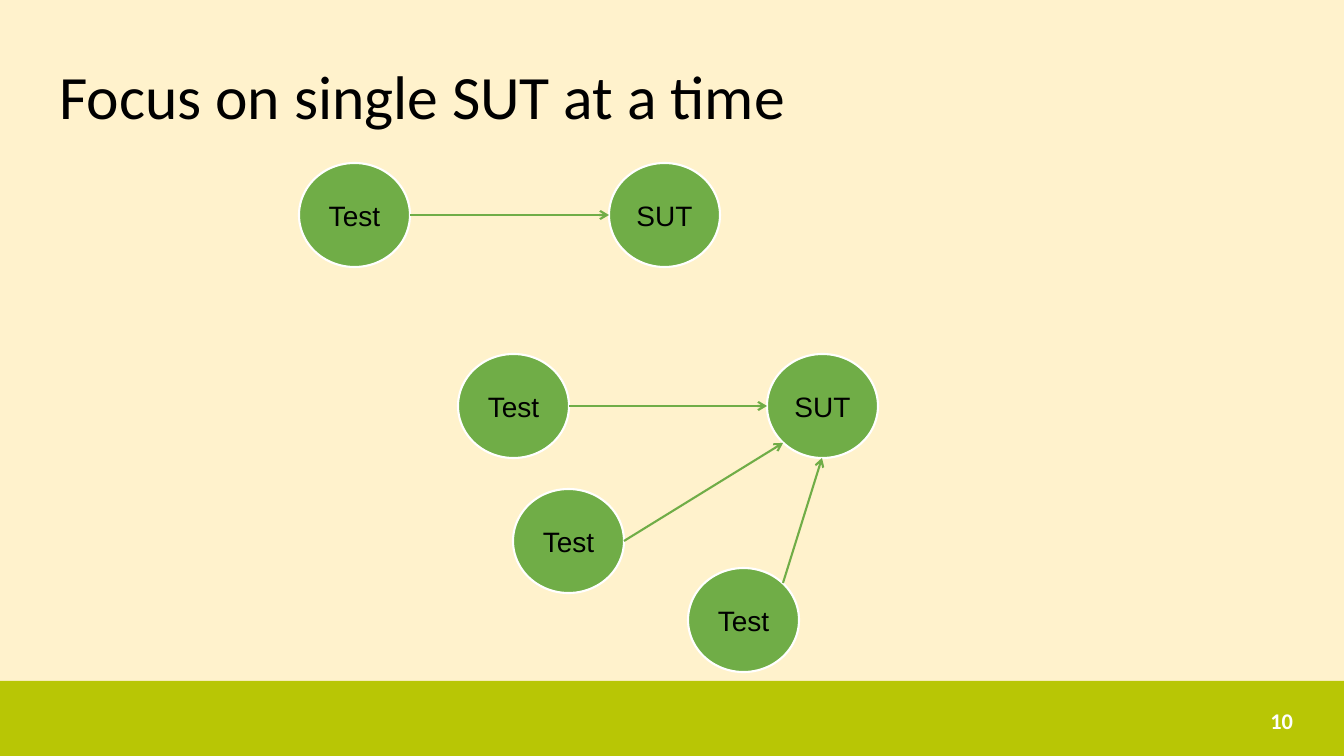
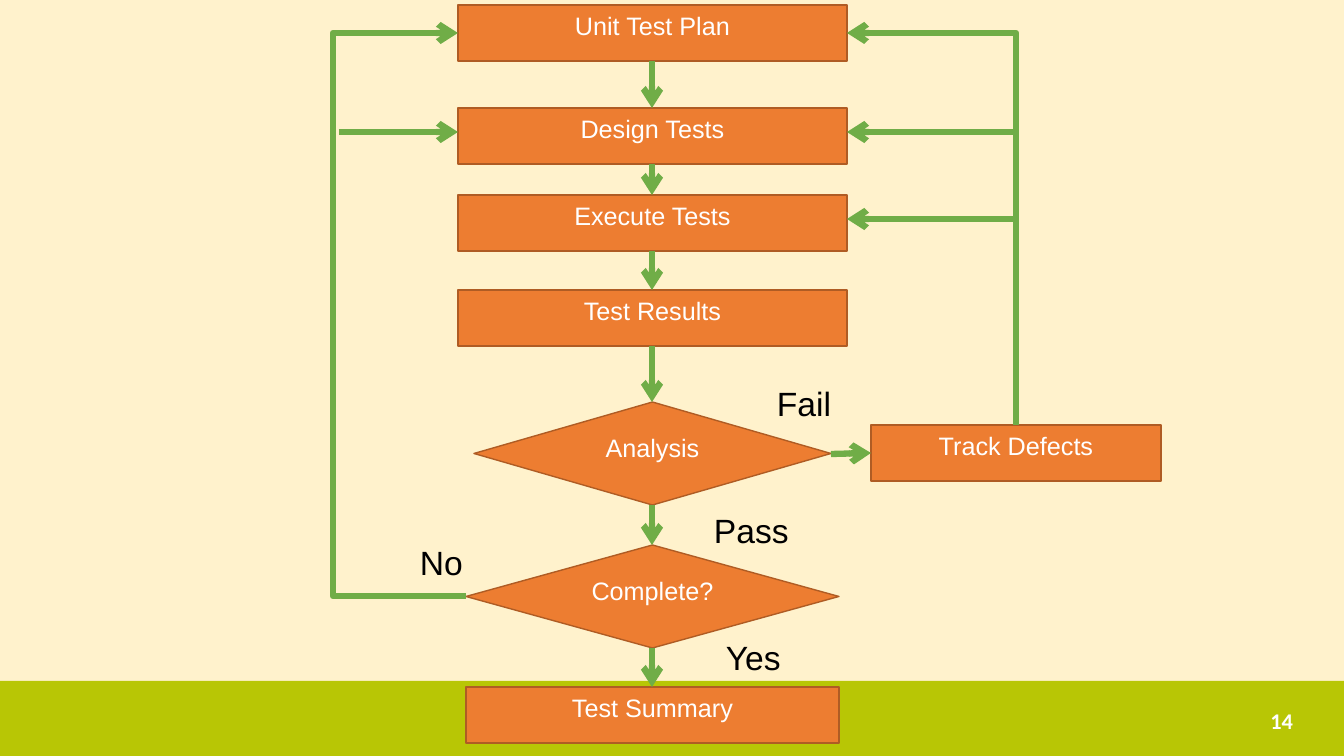
import dataclasses
import itertools
from typing import Optional

import lxml.etree
import pptx
import pptx.dml.color
import pptx.enum.shapes
import pptx.enum.text
import pptx.oxml.ns
import pptx.util

SLIDE_W, SLIDE_H = 1344, 756
EMU_PER_INCH, PX_PER_INCH = 914400, 100.8
COLORS = {
    "cream": "FFF2CC", "lime": "B8C605", "green": "70AD47",
    "orange": "ED7D31", "rust": "AF5C24", "white": "FFFFFF", "black": "000000",
}
SHAPES = pptx.enum.shapes.MSO_SHAPE
CONNECTORS = pptx.enum.shapes.MSO_CONNECTOR
ANCHORS = pptx.enum.text.MSO_ANCHOR
ALIGNS = pptx.enum.text.PP_ALIGN
DIAGONAL = 0.5 ** 0.5


@dataclasses.dataclass(frozen=True)
class Style:
    size: int
    color: str
    font: str = "Arial"
    align: int = ALIGNS.CENTER
    anchor: int = ANCHORS.TOP
    bold: bool = False


@dataclasses.dataclass(frozen=True)
class Look:
    fill: str
    line: str
    width: float
    text: Style


@dataclasses.dataclass(frozen=True)
class Node:
    text: str
    x: int
    y: int
    w: int
    h: int
    kind: int

    def at(self, dx: float, dy: float) -> tuple[int, int]:
        return (round(self.x + self.w * (1 + dx) / 2),
                round(self.y + self.h * (1 + dy) / 2))


@dataclasses.dataclass(frozen=True)
class Label:
    text: str
    x: int
    y: int
    w: int


TITLE = Style(44, "black", "Calibri", ALIGNS.LEFT, ANCHORS.MIDDLE)
NUMBER = Style(16, "white", "Calibri", ALIGNS.RIGHT, ANCHORS.MIDDLE, True)
BRANCH = Style(24, "black", align=ALIGNS.LEFT)
BUBBLE = Look("green", "white", 1.5, Style(20, "black", anchor=ANCHORS.MIDDLE))
STEP = Look("orange", "rust", 1, Style(18, "white"))


def px(n: float) -> int:
    return pptx.util.Emu(round(n * EMU_PER_INCH / PX_PER_INCH))


def rgb(name: str) -> pptx.dml.color.RGBColor:
    return pptx.dml.color.RGBColor.from_string(COLORS[name])


def write(tf, text: str, style: Style, wrap: bool = True) -> None:
    tf.text = text
    tf.word_wrap = wrap
    tf.vertical_anchor = style.anchor
    p = tf.paragraphs[0]
    p.alignment = style.align
    p.font.name = style.font
    p.font.size = pptx.util.Pt(style.size)
    p.font.bold = style.bold
    p.font.color.rgb = rgb(style.color)


def add_text(shapes, label: Label, h: int, style: Style, wrap: bool) -> None:
    sp = shapes.add_textbox(px(label.x), px(label.y), px(label.w), px(h))
    write(sp.text_frame, label.text, style, wrap)


def add_node(shapes, node: Node, look: Look) -> None:
    sp = shapes.add_shape(node.kind, px(node.x), px(node.y), px(node.w), px(node.h))
    sp.shadow.inherit = False
    sp.fill.solid()
    sp.fill.fore_color.rgb = rgb(look.fill)
    sp.line.color.rgb = rgb(look.line)
    sp.line.width = pptx.util.Pt(look.width)
    write(sp.text_frame, node.text, look.text)


def add_arrow(shapes, start: tuple[int, int], end: tuple[int, int],
              width: float, bend_x: Optional[int] = None) -> None:
    kind = CONNECTORS.STRAIGHT if bend_x is None else CONNECTORS.ELBOW
    c = shapes.add_connector(kind, *map(px, start + end))
    c.line.color.rgb = rgb("green")
    c.line.width = pptx.util.Pt(width)
    qn = pptx.oxml.ns.qn
    lxml.etree.SubElement(c.line._get_or_add_ln(), qn("a:tailEnd"), type="arrow")
    sp_pr = c.element.spPr
    lxml.etree.SubElement(sp_pr, qn("a:effectLst"))
    if bend_x is not None:
        ratio = (start[0] - bend_x) / (start[0] - end[0])
        guides = sp_pr.find(qn("a:prstGeom")).find(qn("a:avLst"))
        lxml.etree.SubElement(guides, qn("a:gd"), name="adj1",
                              fmla=f"val {round(ratio * 100000)}")


def style_master(prs, s) -> None:
    master = prs.slide_master
    master.background.fill.solid()
    master.background.fill.fore_color.rgb = rgb("cream")
    band = s.shapes.add_shape(SHAPES.RECTANGLE, 0, px(681), px(SLIDE_W), px(SLIDE_H - 681))
    band.shadow.inherit = False
    band.fill.solid()
    band.fill.fore_color.rgb = rgb("lime")
    band.line.fill.background()
    band.element.nvSpPr.cNvPr.id = 20
    master.shapes.element.insert(2, band.element)


def add_number(s, number: int) -> None:
    add_text(s.shapes, Label(str(number), 949, 701, 354), 40, NUMBER, True)


def bubble(text: str, x: int, y: int) -> Node:
    return Node(text, x, y, 111, 104, SHAPES.OVAL)


def build_focus(s) -> None:
    title = s.shapes.title
    title.left, title.top, title.width, title.height = map(px, (49, 27, 1253, 146))
    write(title.text_frame, "Focus on single SUT at a time", TITLE)
    title.text_frame.auto_size = pptx.enum.text.MSO_AUTO_SIZE.NONE
    title.text_frame.paragraphs[0].line_spacing = 0.9

    right, left, bottom = (1, 0), (-1, 0), (0, 1)
    lower_left, upper_right = (-DIAGONAL, DIAGONAL), (DIAGONAL, -DIAGONAL)
    clusters = [
        (bubble("SUT", 609, 163), [(bubble("Test", 299, 163), right, left)]),
        (bubble("SUT", 767, 354), [
            (bubble("Test", 458, 354), right, left),
            (bubble("Test", 513, 489), right, lower_left),
            (bubble("Test", 688, 568), upper_right, bottom),
        ]),
    ]
    for sut, tests in clusters:
        shapes = s.shapes.add_group_shape().shapes
        add_node(shapes, sut, BUBBLE)
        for test, leave, enter in tests:
            add_node(shapes, test, BUBBLE)
            add_arrow(shapes, test.at(*leave), sut.at(*enter), 1.5)
    add_number(s, 10)


def build_process(s) -> None:
    center, weight = 652, 4.5
    box, diamond = (SHAPES.RECTANGLE, 56), (SHAPES.DIAMOND, 103)
    rows = [
        ("Unit Test Plan", 5, 389, box),
        ("Design Tests", 108, 389, box),
        ("Execute Tests", 195, 389, box),
        ("Test Results", 290, 389, box),
        ("Analysis", 402, 357, diamond),
        ("Complete?", 545, 373, diamond),
        ("Test Summary", 687, 373, box),
    ]
    steps = [Node(text, center - w // 2, y, w, h, kind)
             for text, y, w, (kind, h) in rows]
    plan, design, _, _, analysis, complete, _ = steps
    defects = Node("Track Defects", 871, 425, 290, 56, SHAPES.RECTANGLE)
    for node in steps + [defects]:
        add_node(s.shapes, node, STEP)

    for upper, lower in itertools.pairwise(steps):
        add_arrow(s.shapes, upper.at(0, 1), lower.at(0, -1), weight)
    add_arrow(s.shapes, analysis.at(1, 0), defects.at(-1, 0), weight)

    trunk_x = defects.at(0, -1)[0]
    add_arrow(s.shapes, defects.at(0, -1), plan.at(1, 0), weight, trunk_x)
    add_arrow(s.shapes, complete.at(-1, 0), plan.at(-1, 0), weight, 333)
    edge_left, edge_right = design.x, design.x + design.w
    for x, end, y in [(1013, edge_right, 219), (1013, edge_right, 132),
                      (339, edge_left, 132)]:
        add_arrow(s.shapes, (x, y), (end, y), weight)

    for label in [Label("Pass", 704, 505, 96), Label("Yes", 716, 632, 76),
                  Label("Fail", 767, 378, 75), Label("No", 410, 537, 64)]:
        add_text(s.shapes, label, 51, BRANCH, False)
    add_number(s, 14)


def main() -> None:
    prs = pptx.Presentation()
    prs.slide_width, prs.slide_height = px(SLIDE_W), px(SLIDE_H)
    focus = prs.slides.add_slide(prs.slide_layouts.get_by_name("Title Only"))
    process = prs.slides.add_slide(prs.slide_layouts.get_by_name("Blank"))
    style_master(prs, focus)
    build_focus(focus)
    build_process(process)
    prs.save("out.pptx")


if __name__ == "__main__":
    main()
